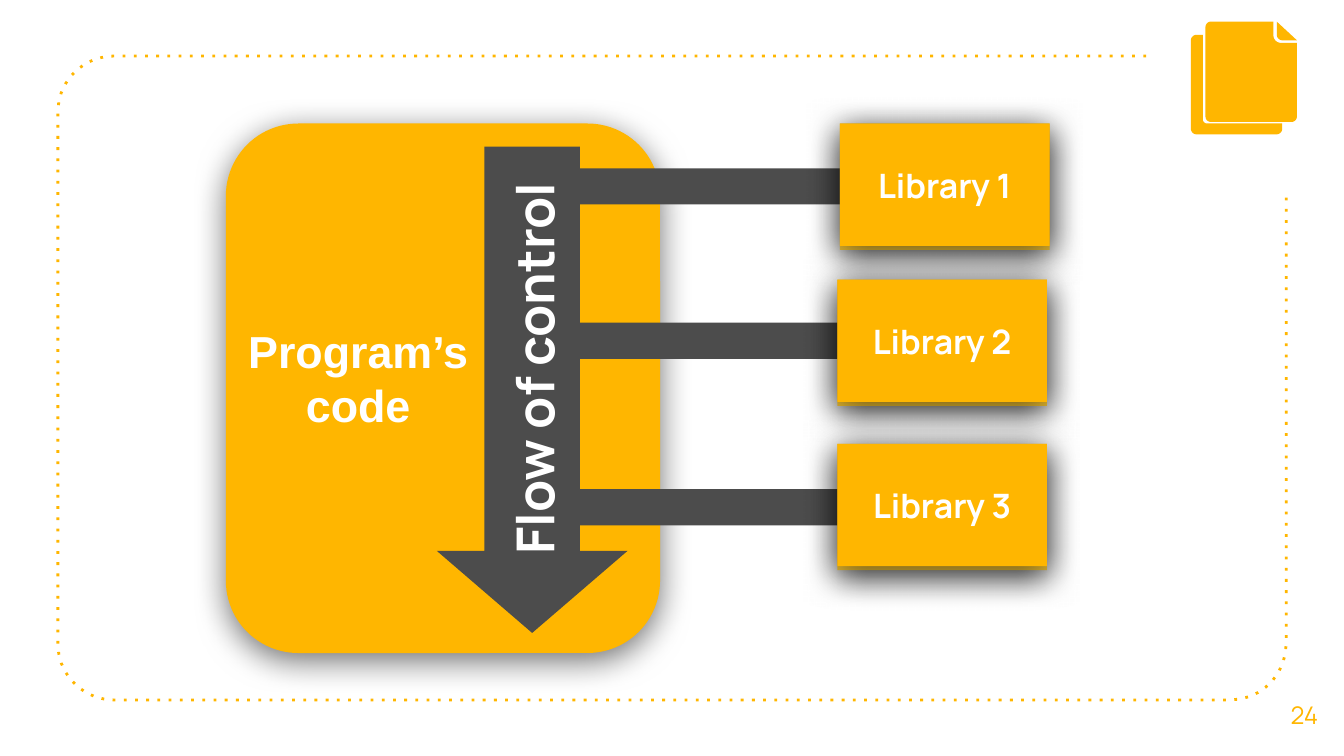
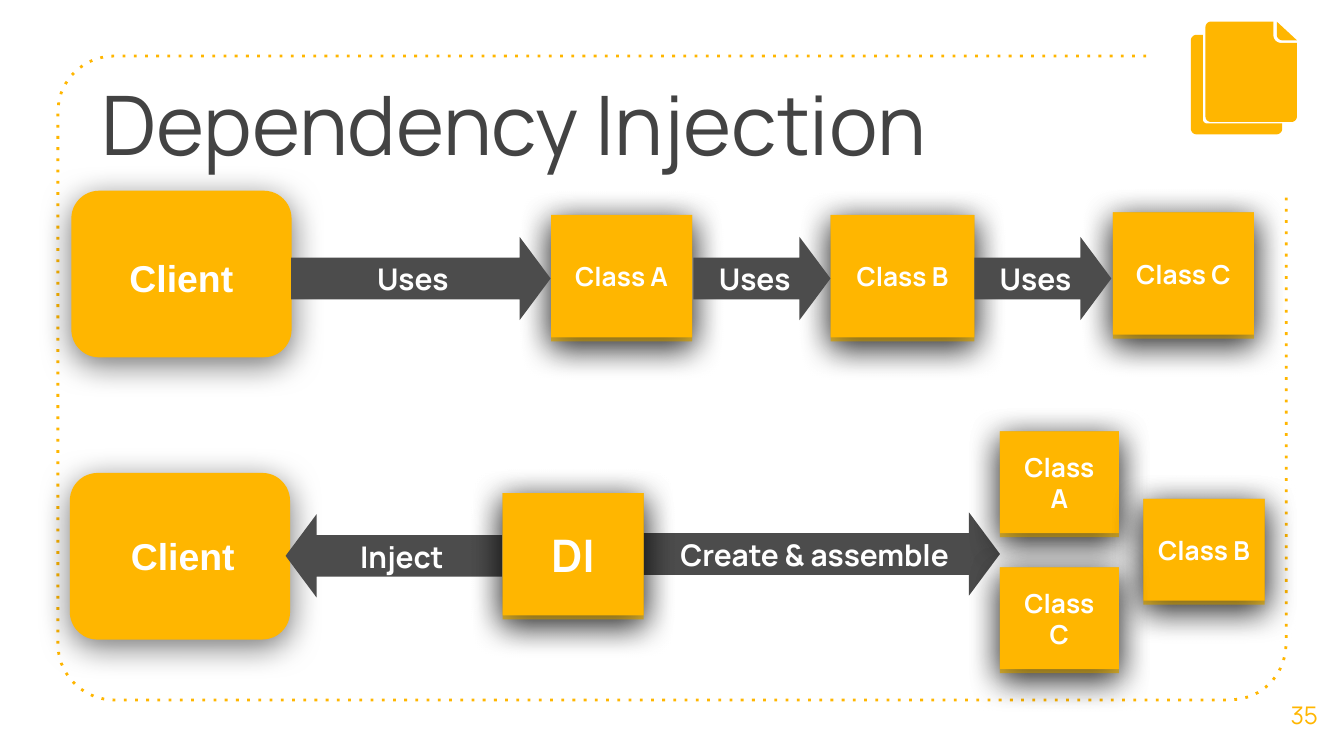
from math import cos, radians, sin

from lxml.etree import SubElement
from pptx import Presentation
from pptx.dml.color import RGBColor
from pptx.enum.dml import MSO_LINE
from pptx.enum.shapes import MSO_SHAPE as SHAPE
from pptx.enum.text import MSO_ANCHOR as ANCHOR, PP_ALIGN as ALIGN
from pptx.oxml.ns import qn
from pptx.util import Pt

AMBER = RGBColor(0xFF, 0xB6, 0x00)
GOLD = RGBColor(0xF1, 0xC2, 0x32)
GRAY = RGBColor(0x4C, 0x4C, 0x4C)
TITLE_GRAY = RGBColor(0x43, 0x43, 0x43)
WHITE = RGBColor(0xFF, 0xFF, 0xFF)

DEFAULTS = dict(preset=None, fill=None, adj=(), shadow=False, rotation=0,
                font="Manrope", color=WHITE, bold=True, align=ALIGN.CENTER,
                anchor=ANCHOR.MIDDLE, margin=7.2)
STYLES = {
    "block": dict(preset=SHAPE.ROUNDED_RECTANGLE, fill=AMBER, adj=(0.167,), shadow=True),
    "down": dict(preset=SHAPE.DOWN_ARROW, fill=GRAY, adj=(0.5, 0.43)),
    "right": dict(preset=SHAPE.RIGHT_ARROW, fill=GRAY, adj=(0.5, 0.372)),
    "left": dict(preset=SHAPE.LEFT_ARROW, fill=GRAY, adj=(0.5, 0.372)),
    "bar": dict(preset=SHAPE.RECTANGLE, fill=GRAY),
    "edge": dict(preset=SHAPE.RECTANGLE, fill=GOLD, shadow=True),
    "card": dict(preset=SHAPE.RECTANGLE, fill=AMBER, shadow=True),
    "label": dict(margin=3.6),
    "upward": dict(margin=3.6, rotation=270),
    "block label": dict(margin=3.6, font="Arial", anchor=ANCHOR.TOP),
    "title": dict(color=TITLE_GRAY, bold=False, align=ALIGN.LEFT, anchor=ANCHOR.TOP),
    "page": dict(color=AMBER, bold=False),
}
EDGE_DEPTH = 2.2


def arc(cx, cy, radius, start, end, steps=9):
    """Points along a circle, angles in degrees measured clockwise from the right."""
    angles = [radians(start + (end - start) * i / steps) for i in range(steps + 1)]
    return [(cx + radius * cos(a), cy + radius * sin(a)) for a in angles]


def draw(shapes, style, x, y, w, h, text="", size=0):
    st = {**DEFAULTS, **STYLES[style]}
    box = [Pt(v) for v in (x, y, w, h)]
    if st["preset"] is None:
        sp = shapes.add_textbox(*box)
    else:
        sp = shapes.add_shape(st["preset"], *box)
        for i, value in enumerate(st["adj"]):
            sp.adjustments[i] = value
        sp.fill.solid()
        sp.fill.fore_color.rgb = st["fill"]
        sp.line.fill.background()
        sp.shadow.inherit = False
    sp.rotation = st["rotation"]
    if st["shadow"]:
        effects = sp._element.spPr.find(qn("a:effectLst"))
        shadow = SubElement(effects, qn("a:outerShdw"), blurRad=str(Pt(18)),
                            dist=str(Pt(4)), dir="5400000", algn="t", rotWithShape="0")
        black = SubElement(shadow, qn("a:srgbClr"), val="000000")
        SubElement(black, qn("a:alpha"), val="54000")
    if not text:
        return
    tf = sp.text_frame
    frame_format = dict(word_wrap=True, vertical_anchor=st["anchor"],
                        margin_left=Pt(7.2), margin_right=Pt(7.2),
                        margin_top=Pt(st["margin"]), margin_bottom=Pt(st["margin"]))
    for name, value in frame_format.items():
        setattr(tf, name, value)
    p = tf.paragraphs[0]
    p.alignment = st["align"]
    r = p.add_run()
    r.text = text
    for name, value in dict(name=st["font"], size=Pt(size), bold=st["bold"]).items():
        setattr(r.font, name, value)
    r.font.color.rgb = st["color"]


# Outlines shared by both slides
FRAME = [(614, 30), *arc(61, 60, 30, 270, 180), *arc(61, 345, 30, 180, 90),
         *arc(659, 345, 30, 90, 0), (689, 105)]
BACK_SHEET = [*arc(641, 21.7, 3, 270, 180), *arc(641, 69, 3, 180, 90),
              *arc(683.9, 69, 3, 90, 0), (686.9, 66.2),
              *arc(646.6, 64, 2.2, 90, 180), (644.4, 18.7)]
FRONT_SHEET = [*arc(648.8, 14.6, 3, 270, 180), *arc(648.8, 62.4, 3, 180, 90),
               *arc(691.8, 62.4, 3, 90, 0), (694.8, 23),
               *arc(686.2, 19, 4, 90, 180), (682.2, 11.6)]
FOLD = [(684, 11.6), *arc(687, 18.6, 3, 180, 90), (694.8, 21.6)]

# Each item: style, left, top, width, height, text, size
flow_of_control = [
    ("block", 121, 66.2, 232.6, 283.7),
    ("down", 234, 78.5, 102.2, 260.6),
    ("upward", 166.3, 172, 239, 51, "Flow of control", 28),
    *[("bar", 302.6, y, 158.4, 19.4) for y in (90.2, 172.9, 262.1)],
    ("card", 450, 66.2, 112.3, 65.5, "Library 1", 18),
    ("card", 448.6, 149.8, 112.3, 65.5, "Library 2", 18),
    ("card", 448.6, 237.8, 112.3, 65.5, "Library 3", 18),
    ("block label", 121, 170, 141.8, 65.5, "Program’s code", 24),
]
dependency_injection = [
    ("right", 344.2, 274.5, 191.5, 44.6),
    ("label", 345, 285.8, 183, 22.3, "Create & assemble", 16),
    ("title", 47.5, 32.4, 544.3, 67.7, "Dependency Injection", 44),
    ("block", 38.2, 102.2, 118, 89.3),
    ("card", 295.2, 115.2, 75.6, 65.5, "Class A", 14),
    ("card", 445, 115.2, 77, 65.5, "Class B", 14),
    ("card", 596.2, 113.8, 75.6, 65.5, "Class C", 14),
    ("block label", 38.9, 133.2, 116.6, 31.7, "Client", 20),
]
for x, arrow_w, label_w in [(371.5, 73.4, 65.5), (522, 73.4, 65.5), (156, 139, 130.3)]:
    dependency_injection += [
        ("right", x, 126.9, arrow_w, 44.6),
        ("label", x, 138.2, label_w, 22.3, "Uses", 16),
    ]
dependency_injection += [
    ("block", 37.4, 253.4, 118, 89.3),
    ("block label", 39.6, 282.2, 116.6, 31.7, "Client", 20),
    ("left", 153, 275.5, 116, 44.6),
    ("label", 161.3, 286.8, 108, 22.3, "Inject", 16),
    ("card", 269.2, 264.2, 75.6, 65.5, "DI", 24),
    ("card", 535.7, 231.1, 63.7, 54.5, "Class A", 14),
    ("card", 612.5, 267.3, 65, 54.5, "Class B", 14),
    ("card", 535.7, 304, 63.7, 54.5, "Class C", 14),
]

prs = Presentation()
prs.slide_width, prs.slide_height = Pt(720), Pt(405)

for page, items in [("24", flow_of_control), ("35", dependency_injection)]:
    s = prs.slides.add_slide(prs.slide_layouts[6])
    icon = None
    for outline in (FRAME, BACK_SHEET, FRONT_SHEET, FOLD):
        is_frame = outline is FRAME
        if not is_frame and icon is None:
            icon = s.shapes.add_group_shape()
        shapes = s.shapes if is_frame else icon.shapes
        points = [(Pt(x), Pt(y)) for x, y in outline]
        builder = shapes.build_freeform(*points[0])
        builder.add_line_segments(points[1:], close=not is_frame)
        sp = builder.convert_to_shape()
        sp.shadow.inherit = False
        if is_frame:
            sp.fill.background()
            sp.line.color.rgb = AMBER
            sp.line.width = Pt(1.5)
            sp.line.dash_style = MSO_LINE.ROUND_DOT
            sp._element.spPr.find(".//" + qn("a:prstDash")).set("val", "dot")
        else:
            sp.fill.solid()
            sp.fill.fore_color.rgb = AMBER
            sp.line.fill.background()
    draw(s.shapes, "page", 677.5, 361.4, 42.5, 43.2, page, 13)

    for style, x, y, w, h, *text in items:
        shapes = s.shapes
        if style == "card":
            shapes = s.shapes.add_group_shape().shapes
            draw(shapes, "edge", x, y, w, h + EDGE_DEPTH)
        draw(shapes, style, x, y, w, h, *text)

prs.save("out.pptx")
